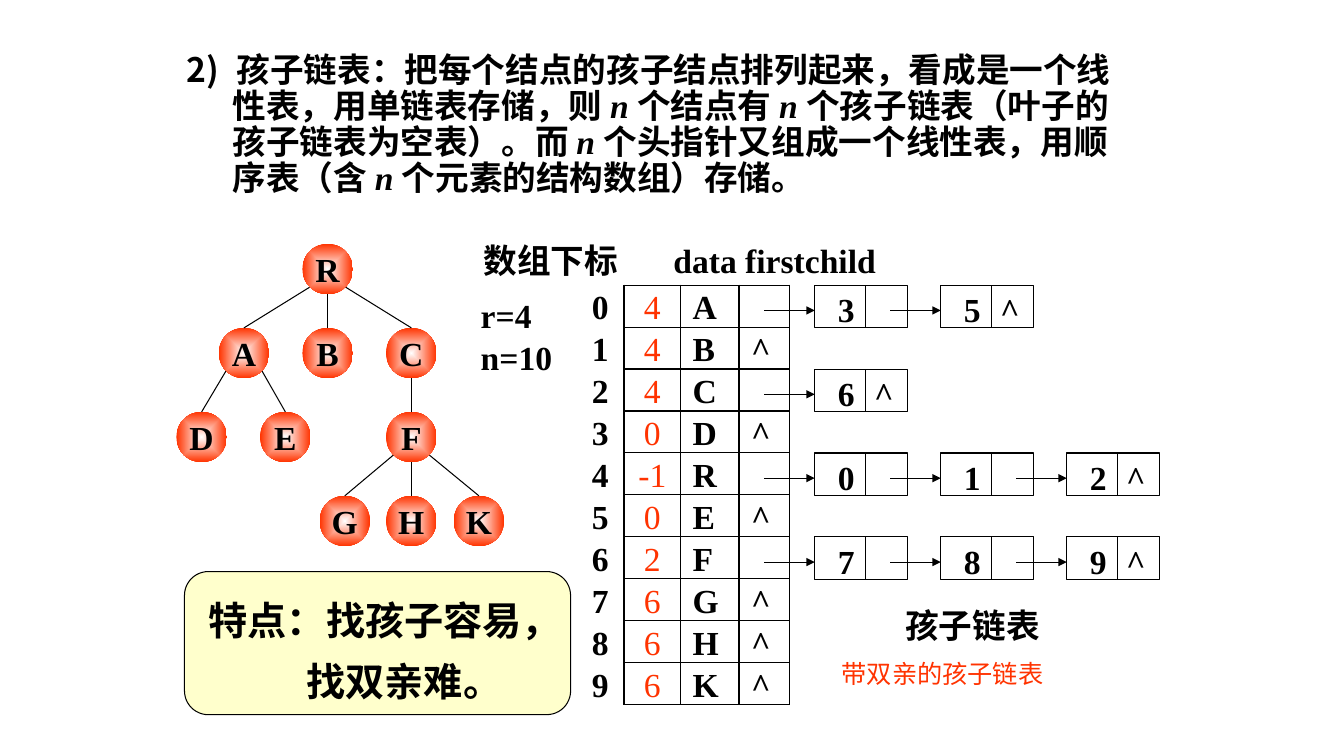
from lxml import etree
from pptx import Presentation
from pptx.dml.color import RGBColor
from pptx.enum.shapes import MSO_CONNECTOR, MSO_SHAPE
from pptx.enum.text import MSO_ANCHOR, PP_ALIGN
from pptx.oxml import parse_xml
from pptx.oxml.ns import nsdecls, qn
from pptx.util import Inches, Pt

BLACK = RGBColor(0x00, 0x00, 0x00)
RED = RGBColor(0xFF, 0x33, 0x00)
CREAM = RGBColor(0xFF, 0xFF, 0xCC)
SERIF, SANS, CJK = "Times New Roman", "Arial", "Noto Sans CJK SC"
OVAL, RECT, ROUNDED = MSO_SHAPE.OVAL, MSO_SHAPE.RECTANGLE, MSO_SHAPE.ROUNDED_RECTANGLE
STRAIGHT = MSO_CONNECTOR.STRAIGHT
MIDDLE = MSO_ANCHOR.MIDDLE
LEFT, CENTER = PP_ALIGN.LEFT, PP_ALIGN.CENTER

ROW_H = 0.416
INTRO = [
    "孩子链表：把每个结点的孩子结点排列起来，看成是一个线",
    "性表，用单链表存储，则 |n| 个结点有 |n| 个孩子链表（叶子的",
    "孩子链表为空表）。而 |n| 个头指针又组成一个线性表，用顺",
    "序表（含 |n| 个元素的结构数组）存储。",
]
# Name: (left, level, parent)
TREE = {
    "R": (1.25, 0, None), "A": (0.42, 1, "R"), "B": (1.25, 1, "R"),
    "C": (2.08, 1, "R"), "D": (0, 2, "A"), "E": (0.83, 2, "A"),
    "F": (2.08, 2, "C"), "G": (1.42, 3, "F"), "H": (2.08, 3, "F"),
    "K": (2.75, 3, "F"),
}
PARENTS_AND_DATA = [("4", "A"), ("4", "B"), ("4", "C"), ("0", "D"), ("-1", "R"),
                    ("0", "E"), ("2", "F"), ("6", "G"), ("6", "H"), ("6", "K")]
# Array row: indices of the children
CHAINS = {0: "35", 2: "6", 4: "012", 6: "789"}


def style(paragraph, size=24, color=BLACK, bold=True, font=SERIF, align=LEFT):
    paragraph.alignment = align
    for run in paragraph.runs:
        run.font.size, run.font.bold, run.font.name = Pt(size), bold, font
        run.font.color.rgb = color
        east_asian = etree.SubElement(run.font._element, qn("a:ea"))
        east_asian.set("typeface", CJK)


def add_line(slide, x1, y1, x2, y2, arrow=False):
    line = slide.shapes.add_connector(STRAIGHT, Inches(x1), Inches(y1), Inches(x2), Inches(y2))
    line.line.color.rgb = BLACK
    line.line.width = Pt(0.75)
    if arrow:
        etree.SubElement(line.line._get_or_add_ln(), qn("a:tailEnd")).set("type", "triangle")
    etree.SubElement(line._element.spPr, qn("a:effectLst"))


def add_box(slide, kind, x, y, w, h, fill=None, outlined=True):
    box = slide.shapes.add_shape(kind, Inches(x), Inches(y), Inches(w), Inches(h))
    box.shadow.inherit = False
    if fill is None:
        box.fill.background()
    else:
        box.fill.solid()
        box.fill.fore_color.rgb = fill
    if outlined:
        box.line.color.rgb = BLACK
        box.line.width = Pt(0.75)
    else:
        box.line.fill.background()
    frame = box.text_frame
    frame.vertical_anchor = MIDDLE
    frame.margin_left = frame.margin_right = frame.margin_top = frame.margin_bottom = 0
    return box


def add_label(slide, x, y, w, h, text, line_spacing=None, **look):
    frame = slide.shapes.add_textbox(Inches(x), Inches(y), Inches(w), Inches(h)).text_frame
    frame.word_wrap = False
    frame.text = text
    for paragraph in frame.paragraphs:
        paragraph.line_spacing = line_spacing
        style(paragraph, **look)


def add_intro(slide, x, y, w, h):
    frame = slide.shapes.add_textbox(Inches(x), Inches(y), Inches(w), Inches(h)).text_frame
    frame.word_wrap = True
    for i, text in enumerate(INTRO):
        paragraph = frame.add_paragraph() if i else frame.paragraphs[0]
        p_pr = paragraph._p.get_or_add_pPr()
        p_pr.set("marL", str(Inches(0.46 if i else 0.5)))
        p_pr.set("indent", str(0 if i else Inches(-0.5)))
        if i:
            paragraph.space_before = Pt(8.4)
        else:
            etree.SubElement(p_pr, qn("a:buFont")).set("typeface", CJK)
            number = etree.SubElement(p_pr, qn("a:buAutoNum"))
            number.set("type", "arabicParenR")
            number.set("startAt", "2")
        paragraph.line_spacing = 0.6
        for k, piece in enumerate(text.split("|")):
            run = paragraph.add_run()
            run.text = piece
            run.font.italic = k % 2 == 1
        style(paragraph)


def add_tree(slide, x, y):
    size, level_h = 0.5, 0.833
    centers = {name: (x + left + size / 2, y + level * level_h + size / 2)
               for name, (left, level, _) in TREE.items()}
    for name, (cx, cy) in centers.items():
        node = add_box(slide, OVAL, cx - size / 2, cy - size / 2, size, size, outlined=False)
        old_fill = node._element.spPr.find(qn("a:noFill"))
        old_fill.getparent().replace(old_fill, parse_xml(
            f'<a:gradFill {nsdecls("a")} rotWithShape="0"><a:gsLst>'
            '<a:gs pos="0"><a:srgbClr val="FFFFFF"/></a:gs>'
            f'<a:gs pos="100000"><a:srgbClr val="{RED}"/></a:gs></a:gsLst>'
            '<a:path path="shape"><a:fillToRect l="50000" t="50000" r="50000" b="50000"/>'
            '</a:path></a:gradFill>'))
        node.text_frame.word_wrap = False
        node.text_frame.text = name
        style(node.text_frame.paragraphs[0], align=CENTER)
    # Edges leave the parent at its lower left, bottom or lower right
    for name, (_, _, parent) in TREE.items():
        if parent:
            (px, py), (cx, cy) = centers[parent], centers[name]
            side = (cx - px > 0.01) - (cx - px < -0.01)
            drop = 0.18 if side else size / 2
            add_line(slide, px + side * 0.18, py + drop, cx, cy - size / 2)


def add_array(slide, x, y):
    widths = [0.42, 0.56, 0.58, 0.5]
    rows = len(PARENTS_AND_DATA)
    frame = slide.shapes.add_table(rows, len(widths), Inches(x), Inches(y),
                                   Inches(sum(widths)), Inches(ROW_H * rows))
    table = frame.table
    table.first_row = table.horz_banding = False
    for column, width in zip(table.columns, widths):
        column.width = Inches(width)
    for r, (parent, data) in enumerate(PARENTS_AND_DATA):
        table.rows[r].height = Inches(ROW_H)
        pointer = "" if r in CHAINS else "^"
        for c, text in enumerate([str(r), parent, data, pointer]):
            cell = table.cell(r, c)
            cell.margin_top = cell.margin_bottom = cell.margin_right = 0
            cell.margin_left = Inches([0.1, 0, 0.12, 0.12][c])
            cell.vertical_anchor = MSO_ANCHOR.BOTTOM
            cell.text = text
            is_parent = c == 1
            style(cell.text_frame.paragraphs[0], color=RED if is_parent else BLACK,
                  bold=not is_parent, align=CENTER if is_parent else LEFT)
            # The index column has no borders of its own
            for edge in ("lnL", "lnR", "lnT", "lnB"):
                drawn = c > 0 or edge == "lnR"
                paint = f'<a:solidFill><a:srgbClr val="{BLACK}"/></a:solidFill>' if drawn else "<a:noFill/>"
                cell._tc.get_or_add_tcPr().append(parse_xml(
                    f'<a:{edge} {nsdecls("a")} w="12700">{paint}</a:{edge}>'))
            cell.fill.background()


def add_chains(slide, x, y):
    width, pitch = 0.92, 1.25
    for row, children in CHAINS.items():
        top = y + row * ROW_H
        for i, child in enumerate(children):
            left = x + i * pitch
            node = add_box(slide, RECT, left, top, width, 0.42)
            frame = node.text_frame
            frame.margin_left, frame.margin_top = Inches(0.23), Inches(0.06)
            frame.word_wrap = True
            paragraph = frame.paragraphs[0]
            paragraph._p.get_or_add_pPr().append(parse_xml(
                f'<a:tabLst {nsdecls("a")}><a:tab pos="{Inches(0.36)}" algn="l"/></a:tabLst>'))
            paragraph.text = child + ("\t^" if i == len(children) - 1 else "")
            style(paragraph)
            add_line(slide, left + 0.5, top, left + 0.5, top + 0.42)
            add_line(slide, left - 0.5, top + 0.25, left, top + 0.25, arrow=True)


def add_feature(slide, x, y, w, h):
    box = add_box(slide, ROUNDED, x, y, w, h, fill=CREAM)
    frame = box.text_frame
    frame.word_wrap = True
    frame.margin_left = Inches(0.17)
    frame.text = "特点：找孩子容易，\n找双亲难。"
    for paragraph, indent in zip(frame.paragraphs, (0, 0.97)):
        paragraph._p.get_or_add_pPr().set("marL", str(Inches(indent)))
        paragraph.line_spacing = 1.3
        style(paragraph, size=28, font=SANS)


def build_slide(prs):
    slide = prs.slides.add_slide(prs.slide_layouts[6])
    add_intro(slide, 1.75, 0.58, 9.84, 1.67)
    add_tree(slide, 1.75, 2.42)
    # Array with its headings
    add_label(slide, 4.7, 2.33, 1.63, 0.5, "数组下标")
    add_label(slide, 6.58, 2.33, 2.39, 0.5, "data firstchild")
    add_label(slide, 4.67, 2.85, 1, 0.91, "r=4\nn=10", line_spacing=1.06)
    add_array(slide, 5.77, 2.83)
    # Child lists with their captions
    add_chains(slide, 8.08, 2.83)
    add_label(slide, 8.88, 5.95, 1.64, 0.5, "孩子链表", font=CJK)
    add_label(slide, 8.25, 6.48, 2.3, 0.4, "带双亲的孩子链表", size=18, color=RED, bold=False, font=CJK)
    add_feature(slide, 1.83, 5.67, 3.83, 1.42)


def main():
    prs = Presentation()
    prs.slide_width, prs.slide_height = Inches(13.33), Inches(7.5)
    build_slide(prs)
    prs.save("out.pptx")


if __name__ == "__main__":
    main()
